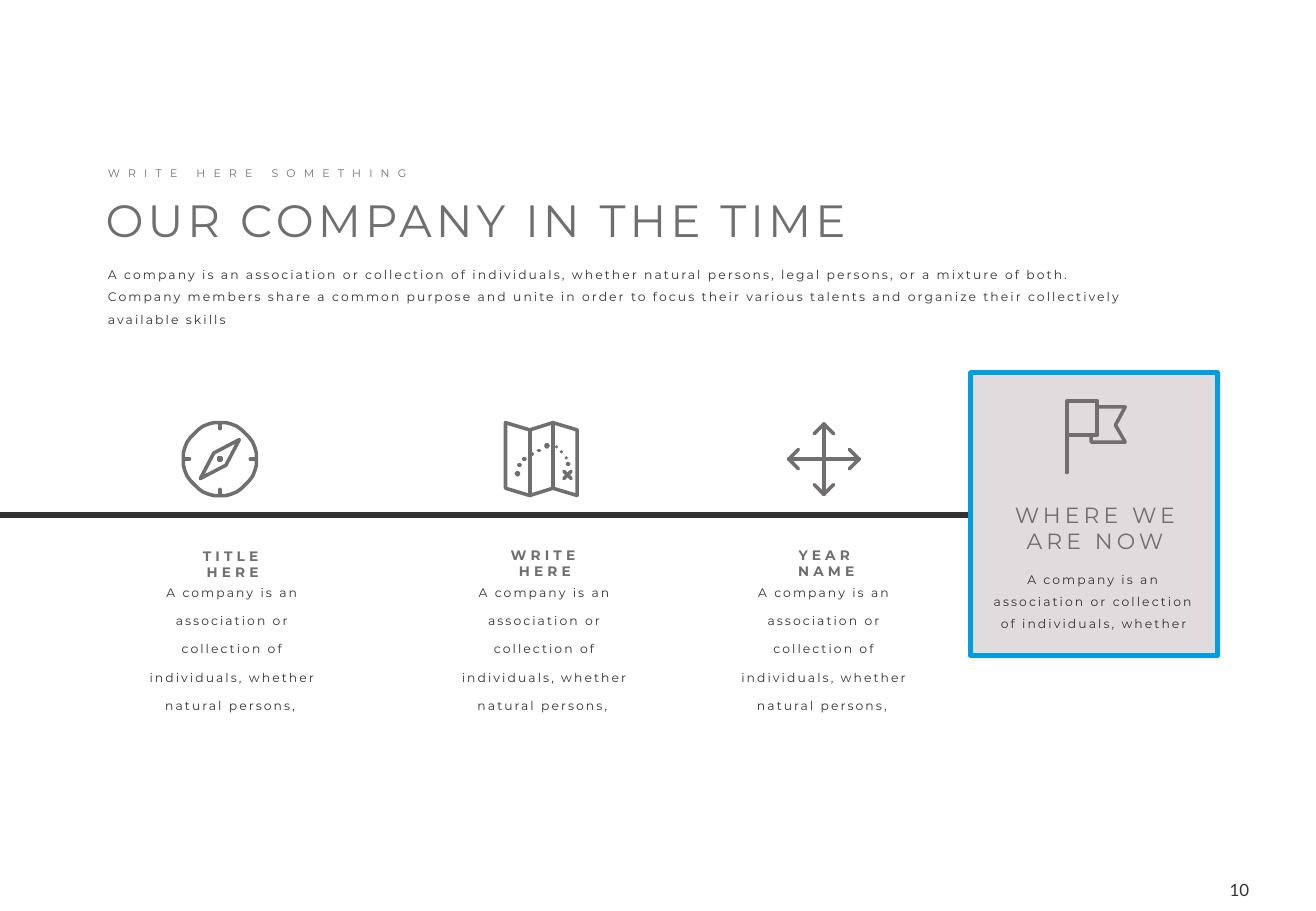
"""Build the company timeline slide with three milestones and a highlighted present."""
from math import cos, pi, sin
from lxml.etree import SubElement
from pptx import Presentation
from pptx.dml.color import RGBColor
from pptx.enum.shapes import MSO_CONNECTOR, MSO_SHAPE
from pptx.enum.text import MSO_ANCHOR, MSO_AUTO_SIZE, PP_ALIGN
from pptx.oxml.ns import qn
from pptx.util import Pt

SCALE = 9144
GREY = RGBColor(0x70, 0x6E, 0x6F)
DARK = RGBColor(0x33, 0x33, 0x33)
BLUE = RGBColor(0x00, 0x9F, 0xE3)
PALE = RGBColor(0xE0, 0xDC, 0xDE)
BODY = {"size": 7.3, "color": DARK, "spacing": 1.23}
DIRECTIONS = [(1, 0), (-1, 0), (0, 1), (0, -1)]
MILESTONES = [
    ("TITLE HERE", (138, 446, 107, 24), 103),
    ("WRITE HERE", (392, 445, 113, 24), 360),
    ("YEAR NAME", (626, 445, 108, 24), 590),
]
MILESTONE_TEXT = ("A company is an association or collection of individuals, "
                  "whether natural persons, ")
INTRO = ("A company is an association or collection of individuals, whether natural persons, "
         "legal persons, or a mixture of both. Company members share a common purpose and unite "
         "in order to focus their various talents and organize their collectively available skills")
NOW_TEXT = "A company is an association or collection of individuals, whether"


def px(*lengths):
    """Turn pixel lengths into EMU."""
    return [length * SCALE for length in lengths]


def write_text(box, text, size, color, spacing=0, font="Montserrat", bold=False,
               align=PP_ALIGN.LEFT, leading=None, insets=True):
    """Fill a box with formatted text, one paragraph per line."""
    frame = box.text_frame
    frame.word_wrap = True
    frame.auto_size = MSO_AUTO_SIZE.NONE
    frame.vertical_anchor = MSO_ANCHOR.TOP
    if not insets:
        frame.margin_left = frame.margin_right = frame.margin_top = frame.margin_bottom = 0
    for index, line in enumerate(text.split("\n")):
        para = frame.paragraphs[0] if index == 0 else frame.add_paragraph()
        para.alignment = align
        if leading:
            para.line_spacing = leading
        span = para.add_run()
        span.text = line
        span.font.name = font
        span.font.size = Pt(size)
        span.font.bold = bold
        span.font.color.rgb = color
        span.font._element.set("spc", str(round(spacing * 100)))


def add_text(page, text, frame, **style):
    """Add a text box at a pixel frame."""
    write_text(page.shapes.add_textbox(*px(*frame)), text, **style)


def add_title(page, text, frame, **style):
    """Move the title placeholder and write the title in it."""
    title = page.shapes.title
    title.left, title.top, title.width, title.height = px(*frame)
    write_text(title, text, **style)


def set_stroke(shape, color, width, cap="flat"):
    """Give a shape or connector a line with rounded joins."""
    shape.line.color.rgb = color
    shape.line.width = Pt(width)
    outline = shape.line._get_or_add_ln()
    outline.set("cap", cap)
    SubElement(outline, qn("a:round"))


def add_timeline(page, start, end):
    """Add the straight line that carries the milestones."""
    line = page.shapes.add_connector(MSO_CONNECTOR.STRAIGHT, *px(*start, *end))
    set_stroke(line, DARK, 3)
    SubElement(line._element.spPr, qn("a:effectLst"))


def add_card(page, frame):
    """Add the framed card behind the present."""
    card = page.shapes.add_shape(MSO_SHAPE.RECTANGLE, *px(*frame))
    card.shadow.inherit = False
    card.fill.solid()
    card.fill.fore_color.rgb = PALE
    set_stroke(card, BLUE, 3)


def add_icon(page, strokes):
    """Add one outline icon made of several strokes."""
    builder = page.shapes.build_freeform(*strokes[0][0], scale=SCALE)
    for index, points in enumerate(strokes):
        if index:
            builder.move_to(*points[0])
        builder.add_line_segments(points[1:], close=False)
    icon = builder.convert_to_shape()
    icon.shadow.inherit = False
    icon.fill.background()
    set_stroke(icon, GREY, 2.1, "rnd")


def ring(x, y, radius, count):
    """Return the points of a closed circle."""
    turns = [2 * pi * step / count for step in range(count + 1)]
    return [(x + radius * cos(turn), y + radius * sin(turn)) for turn in turns]


def compass_strokes(x, y):
    """Return a compass around a centre."""
    ticks = [[(x + reach * across, y + reach * down) for reach in (25, 29)]
             for across, down in DIRECTIONS]
    needle = [(16, -16), (5, 5), (-16, 16), (-5, -5), (16, -16)]
    return [ring(x, y, 30, 40), *ticks, [(x + across, y + down) for across, down in needle],
            ring(x, y, 1, 6)]


def map_strokes():
    """Return a folded map with a dotted route."""
    folds = [(416, 348), (436, 354), (455, 348), (475, 354)]
    lower = [(x, y + 54) for x, y in reversed(folds)]
    creases = [[(x, y), (x, y + 54)] for x, y in folds[1:3]]
    route = [(427, 383), (431, 378), (437, 374), (443, 371),
             (458, 368), (462, 372), (466, 377), (467, 382)]
    dashes = [[(x, y), (x + 0.5, y)] for x, y in route]
    cross = [[(464, 391 - rise), (470, 391 + rise)] for rise in (-3, 3)]
    return [folds + lower + folds[:1], *creases, *dashes, *cross,
            ring(426, 390, 1, 6), ring(450, 367, 1, 6)]


def arrow_strokes(x, y):
    """Return four arrows pointing away from a centre."""
    head = [(21, -8), (29, 0), (21, 8)]
    heads = [[(x + out * across - side * down, y + out * down + side * across)
              for out, side in head] for across, down in DIRECTIONS]
    return [[(x - 29, y), (x + 29, y)], [(x, y - 29), (x, y + 29)], *heads]


def flag_strokes():
    """Return a flag on a pole."""
    return [[(878, 389), (878, 330), (903, 330), (903, 358), (878, 358)],
            [(903, 335), (926, 335), (918, 350), (926, 364), (898, 364), (898, 358)]]


def main():
    """Build and save the deck."""
    deck = Presentation()
    deck.slide_width, deck.slide_height = px(1083, 750)
    page = deck.slides.add_slide(deck.slide_layouts[5])
    centre = PP_ALIGN.CENTER

    add_text(page, "WRITE HERE SOMETHING", (79, 132, 279, 21), size=6.5, color=GREY, spacing=4.85)
    add_title(page, "OUR COMPANY IN THE TIME", (77, 153, 685, 55),
              size=26.8, color=GREY, spacing=2.44)
    add_text(page, INTRO, (79, 209, 869, 63), leading=1.5, **BODY)

    add_timeline(page, (0, 424), (869, 424))
    for heading, frame, left in MILESTONES:
        add_text(page, heading, frame, size=8.1, color=GREY, spacing=2.44, bold=True, align=centre)
        add_text(page, MILESTONE_TEXT, (left, 466, 177, 126),
                 align=centre, leading=Pt(16.7), **BODY)

    add_card(page, (799, 307, 203, 233))
    add_text(page, "WHERE WE\nARE NOW", (812, 408, 178, 54),
             size=13, color=GREY, spacing=2.44, align=centre)
    add_text(page, NOW_TEXT, (807, 460, 186, 63), align=centre, leading=1.5, **BODY)
    for strokes in (arrow_strokes(678, 378), compass_strokes(181, 378),
                    map_strokes(), flag_strokes()):
        add_icon(page, strokes)
    add_text(page, "10", (1001, 724, 27, 17), size=10, color=DARK, font="Lato",
             align=PP_ALIGN.RIGHT, insets=False)
    deck.save("out.pptx")


if __name__ == "__main__":
    main()
